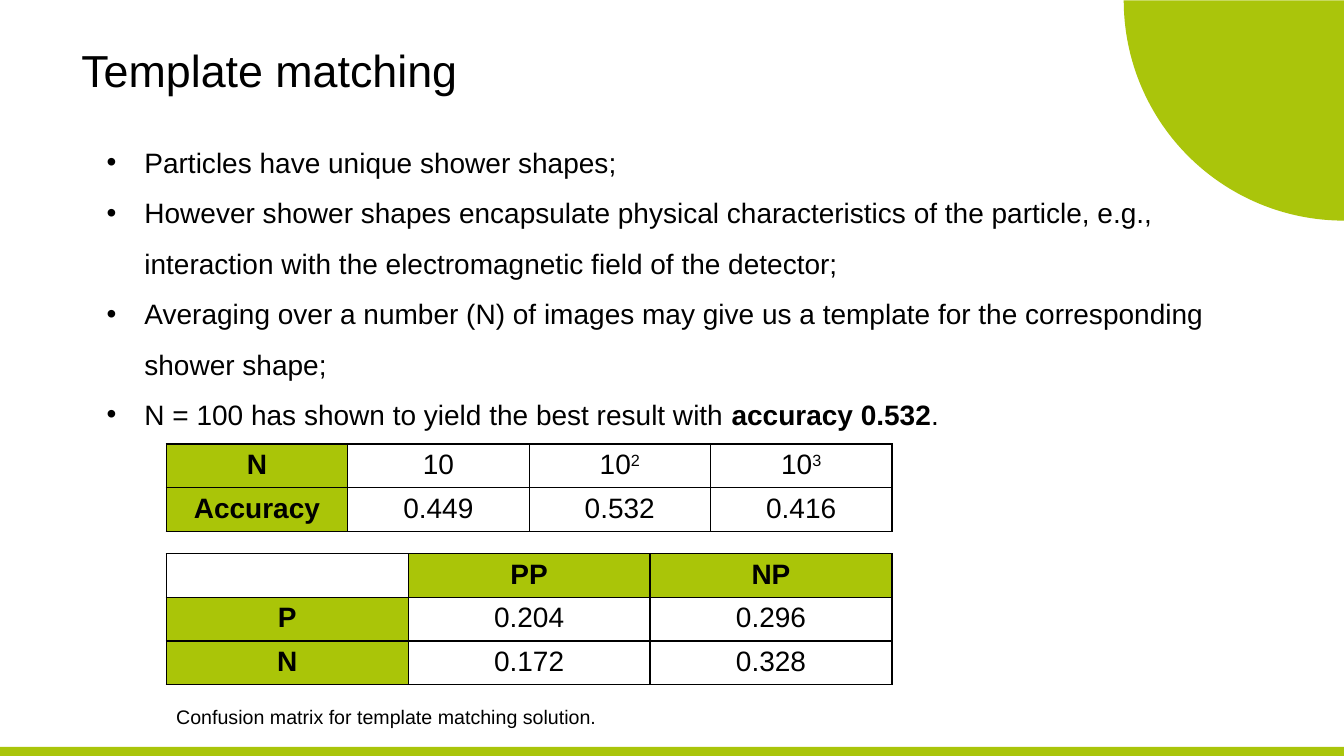
"""Build the template matching slide with its two result tables."""
from dataclasses import dataclass

from lxml.etree import SubElement
from pptx import Presentation
from pptx.dml.color import RGBColor
from pptx.enum.shapes import MSO_SHAPE as Preset
from pptx.enum.text import PP_ALIGN as Align
from pptx.oxml.ns import qn
from pptx.util import Cm, Pt

BLACK = RGBColor(0x00, 0x00, 0x00)
LIME = RGBColor(0xAA, 0xC5, 0x0B)
HEADER_LIME = RGBColor(0xAA, 0xC5, 0x08)
FONT = "Arial"
PAGE_WIDTH, PAGE_HEIGHT = 33.87, 19.05
TABLE_LEFT, TABLE_WIDTH, ROW_HEIGHT = 4.19, 18.29, 1.1


@dataclass(frozen=True)
class Area:
    left: float
    top: float
    width: float
    height: float

    def lengths(self):
        return Cm(self.left), Cm(self.top), Cm(self.width), Cm(self.height)


@dataclass(frozen=True)
class Span:
    text: str
    bold: bool = False
    raised: bool = False


@dataclass(frozen=True)
class Grid:
    top: float
    rows: list
    headers: set


BULLETS = [
    [Span("Particles have unique shower shapes;")],
    [Span("However shower shapes encapsulate physical characteristics of the particle, "
          "e.g., interaction with the electromagnetic field of the detector;")],
    [Span("Averaging over a number (N) of images may give us a template "
          "for the corresponding shower shape;")],
    [Span("N = 100 has shown to yield the best result with "),
     Span("accuracy 0.532", bold=True), Span(".")],
]

GRIDS = [
    Grid(11.19, [["N", "10", "10^2", "10^3"],
                 ["Accuracy", "0.449", "0.532", "0.416"]],
         {"N", "Accuracy"}),
    Grid(13.95, [["", "PP", "NP"],
                 ["P", "0.204", "0.296"],
                 ["N", "0.172", "0.328"]],
         {"PP", "NP", "P", "N"}),
]


def add_accent(page, preset: Preset, area: Area, adjustments: tuple = ()) -> None:
    accent = page.shapes.add_shape(preset, *area.lengths())
    accent.shadow.inherit = False
    accent.fill.solid()
    accent.fill.fore_color.rgb = LIME
    accent.line.fill.background()
    for index, value in enumerate(adjustments):
        accent.adjustments[index] = value


def add_bullet(para) -> None:
    properties = para._p.get_or_add_pPr()
    properties.set("marL", str(Cm(1.59)))
    properties.set("indent", str(-Cm(0.95)))
    color = SubElement(properties, qn("a:buClr"))
    SubElement(color, qn("a:srgbClr"), val=str(BLACK))
    SubElement(properties, qn("a:buFont"), typeface=FONT)
    SubElement(properties, qn("a:buChar"), char="•")
    para.line_spacing = 1.5


def write(para, spans: list, *, size: int = 20, bullet: bool = False,
          align: Align = Align.LEFT) -> None:
    if bullet:
        add_bullet(para)
    para.alignment = align
    para.font.size = Pt(size)
    for span in spans:
        run = para.add_run()
        run.text = span.text
        run.font.name = FONT
        run.font.size = Pt(size)
        run.font.bold = span.bold
        run.font.color.rgb = BLACK
        if span.raised:
            run._r.get_or_add_rPr().set("baseline", "30000")


def add_text(page, area: Area, lines: list, *, size: int = 20,
             bullet: bool = False) -> None:
    frame = page.shapes.add_textbox(*area.lengths()).text_frame
    frame.word_wrap = True
    for index, spans in enumerate(lines):
        para = frame.add_paragraph() if index else frame.paragraphs[0]
        write(para, spans, size=size, bullet=bullet)


def add_borders(cell) -> None:
    properties = cell._tc.get_or_add_tcPr()
    for side in ("a:lnL", "a:lnR", "a:lnT", "a:lnB"):
        edge = SubElement(properties, qn(side), w=str(Pt(1)))
        fill = SubElement(edge, qn("a:solidFill"))
        SubElement(fill, qn("a:srgbClr"), val=str(BLACK))


def add_grid(page, grid: Grid) -> None:
    row_count, column_count = len(grid.rows), len(grid.rows[0])
    area = Area(TABLE_LEFT, grid.top, TABLE_WIDTH, ROW_HEIGHT * row_count)
    table = page.shapes.add_table(row_count, column_count, *area.lengths()).table
    for row, texts in enumerate(grid.rows):
        for column, text in enumerate(texts):
            cell = table.cell(row, column)
            add_borders(cell)
            header = text in grid.headers
            if header:
                cell.fill.solid()
                cell.fill.fore_color.rgb = HEADER_LIME
            else:
                cell.fill.background()
            base, _, power = text.partition("^")
            spans = [Span(base, bold=header), Span(power, raised=True)]
            write(cell.text_frame.paragraphs[0],
                  [span for span in spans if span.text], align=Align.CENTER)


def main() -> None:
    deck = Presentation()
    deck.slide_width, deck.slide_height = Cm(PAGE_WIDTH), Cm(PAGE_HEIGHT)
    page = deck.slides.add_slide(deck.slide_layouts[6])
    add_accent(page, Preset.RECTANGLE, Area(0, 18.82, PAGE_WIDTH, 0.23))
    add_accent(page, Preset.PIE, Area(28.32, -5.54, 11.1, 11.1), (54, 108))
    add_text(page, Area(1.8, 3.12, 30.48, 15.16), BULLETS, bullet=True)
    add_text(page, Area(1.8, 0.94, 20.96, 1.63), [[Span("Template matching")]], size=32)
    for grid in GRIDS:
        add_grid(page, grid)
    add_text(page, Area(TABLE_LEFT, 17.65, 18.57, 0.86),
             [[Span("Confusion matrix for template matching solution.")]], size=14)
    deck.save("out.pptx")


if __name__ == "__main__":
    main()
